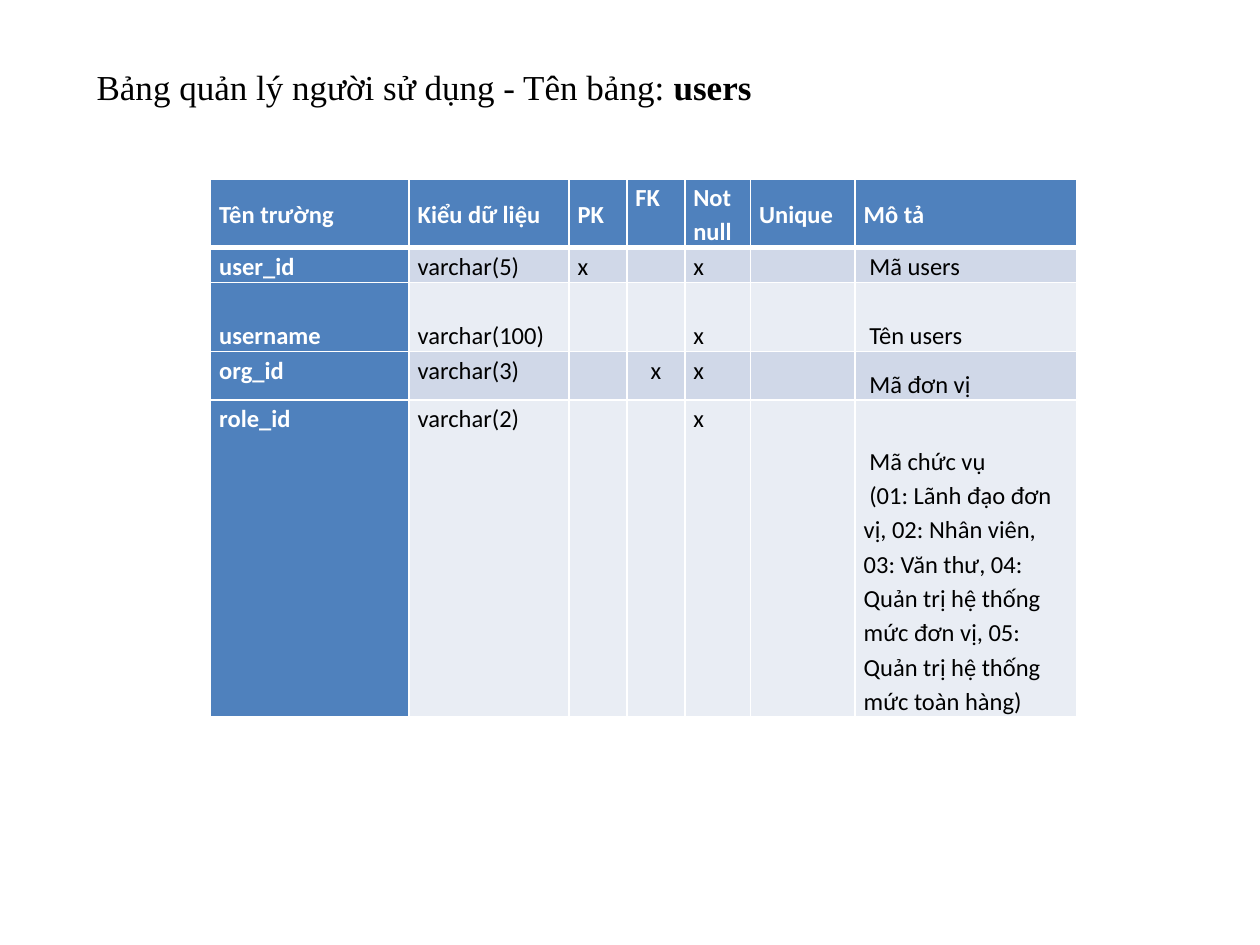
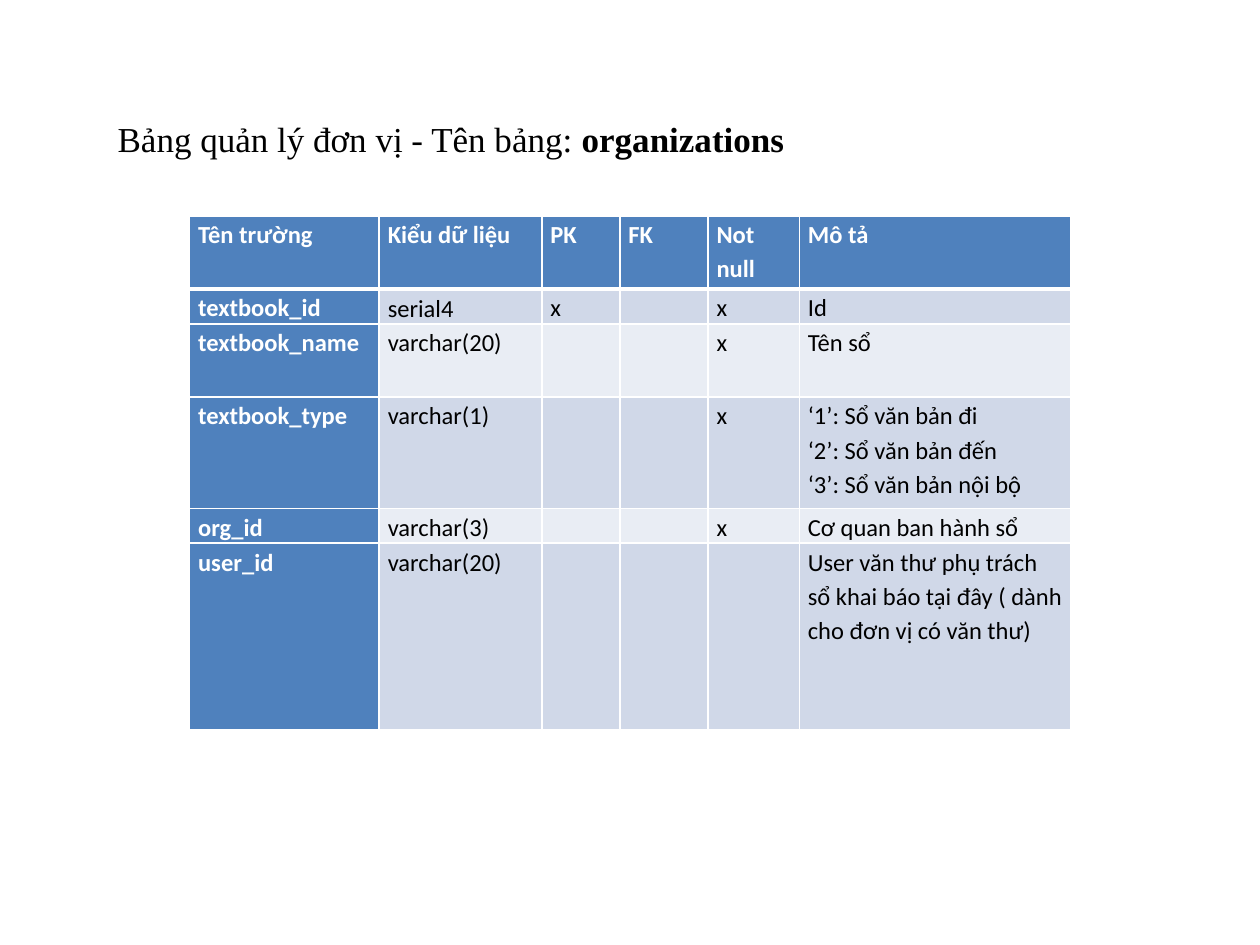
from dataclasses import dataclass

from lxml.etree import SubElement
from pptx import Presentation
from pptx.dml.color import RGBColor
from pptx.enum.text import MSO_ANCHOR as Anchor, MSO_AUTO_SIZE as AutoSize, PP_ALIGN as Align
from pptx.oxml.ns import qn
from pptx.util import Pt


@dataclass(frozen=True)
class Theme:
    accent: str = "4F81BD"
    bands: tuple = ("D0D8E8", "E9EDF4")
    light: str = "FFFFFF"
    dark: str = "000000"
    title_font: str = "Times New Roman"
    table_font: str = "Calibri"
    title_size: int = 20
    table_size: int = 14
    spacing: float = 1.15
    inset: float = 4.9
    rule: int = 1
    header_rule: int = 3


THEME = Theme()
ANCHORS = {"t": Anchor.TOP, "m": Anchor.MIDDLE, "b": Anchor.BOTTOM}

USERS = dict(
    title=("Bảng quản lý người sử dụng - Tên bảng: ", "users"),
    title_box=(48, 30, 451, 33),
    origin=(120.4, 102.2),
    widths=(113.4, 91.4, 33.1, 33.1, 37.6, 59.8, 126.6),
    rows=[
        (38.5, "mmmtmmm", ["Tên trường", "Kiểu dữ liệu", "PK", "FK", "Not null", "Unique", "Mô tả"]),
        (20, "tbttttt", ["user_id", "varchar(5)", "x", "", "x", "", " Mã users"]),
        (39.4, "bbttbtb", ["username", "varchar(100)", "", "", "x", "", " Tên users"]),
        (27.9, "ttttttb", ["org_id", "varchar(3)", "", "x", "x", "", " Mã đơn vị"]),
        (181, "ttttttb", ["role_id", "varchar(2)", "", "", "x", "",
                          " Mã chức vụ\n (01: Lãnh đạo đơn vị, 02: Nhân viên, 03: Văn thư, "
                          "04: Quản trị hệ thống mức đơn vị, 05: Quản trị hệ thống mức toàn hàng)"]),
    ],
    centred=(3, 3),
)

ORGANIZATIONS = dict(
    title=("Bảng quản lý đơn vị - Tên bảng: ", "organizations"),
    title_box=(60, 60, 420, 33),
    origin=(108.3, 123.3),
    widths=(108.4, 92.9, 44.6, 50.4, 52.2, 155.2),
    rows=[
        (41.8, "tttttt", ["Tên trường", "Kiểu dữ liệu", "PK", "FK", "Not null", "Mô tả"]),
        (20, "tbtttt", ["textbook_id", "serial4", "x", "", "x", "Id"]),
        (41.8, "tttttt", ["textbook_name", "varchar(20)", "", "", "x", "Tên sổ"]),
        (63.6, "tttttt", ["textbook_type", "varchar(1)", "", "", "x",
                          "‘1’: Sổ văn bản đi\n‘2’: Sổ văn bản đến\n‘3’: Sổ văn bản nội bộ"]),
        (20, "tttttt", ["org_id", "varchar(3)", "", "", "x", "Cơ quan ban hành sổ"]),
        (106.5, "tttttt", ["user_id", "varchar(20)", "", "", "",
                           "User văn thư phụ trách sổ khai báo tại đây ( dành cho đơn vị có văn thư)"]),
    ],
    centred=None,
)


def style_run(r, font, size, color, bold):
    r.font.name = font
    r.font.size = Pt(size)
    r.font.bold = bold
    r.font.color.rgb = RGBColor.from_string(color)


def add_title(s, box, parts):
    sp = s.shapes.title
    sp.left, sp.top, sp.width, sp.height = map(Pt, box)
    tf = sp.text_frame
    tf.word_wrap = True
    tf.auto_size = AutoSize.NONE
    tf.vertical_anchor = Anchor.TOP
    p = tf.paragraphs[0]
    p.alignment = Align.LEFT
    p.line_spacing = THEME.spacing
    for text, bold in zip(parts, (False, True)):
        r = p.add_run()
        r.text = text
        style_run(r, THEME.title_font, THEME.title_size, THEME.dark, bold)


def set_borders(cell, top, bottom):
    tcPr = cell._tc.get_or_add_tcPr()
    for side, width in (("L", THEME.rule), ("R", THEME.rule), ("T", top), ("B", bottom)):
        ln = SubElement(tcPr, qn(f"a:ln{side}"), w=str(Pt(width)))
        fill = SubElement(ln, qn("a:solidFill"))
        SubElement(fill, qn("a:srgbClr"), val=THEME.light)


def fill_cell(cell, text, anchor, row, col):
    heading = row == 0 or col == 0
    set_borders(cell, THEME.header_rule if row == 1 else THEME.rule,
                THEME.header_rule if row == 0 else THEME.rule)
    cell.fill.solid()
    band = THEME.accent if heading else THEME.bands[(row - 1) % 2]
    cell.fill.fore_color.rgb = RGBColor.from_string(band)
    cell.margin_left = cell.margin_right = Pt(THEME.inset)
    cell.margin_top = cell.margin_bottom = 0
    cell.vertical_anchor = ANCHORS[anchor]
    cell.text_frame.text = text
    for p in cell.text_frame.paragraphs:
        p.line_spacing = THEME.spacing
        for r in p.runs:
            style_run(r, THEME.table_font, THEME.table_size,
                      THEME.light if heading else THEME.dark, heading)
        if not p.runs:
            SubElement(p._p, qn("a:endParaRPr"), sz=str(THEME.table_size * 100))


def add_field_table(s, origin, widths, rows, centred):
    size = sum(widths), sum(height for height, _, _ in rows)
    table = s.shapes.add_table(len(rows), len(widths), *map(Pt, origin + size)).table
    for column, width in zip(table.columns, widths):
        column.width = Pt(width)
    for i, (height, anchors, texts) in enumerate(rows):
        table.rows[i].height = Pt(height)
        for j, (text, anchor) in enumerate(zip(texts, anchors)):
            fill_cell(table.cell(i, j), text, anchor, i, j)
    if centred:
        table.cell(*centred).text_frame.paragraphs[0].alignment = Align.CENTER


def add_schema_slide(prs, title, title_box, origin, widths, rows, centred):
    s = prs.slides.add_slide(prs.slide_layouts.get_by_name("Title Only"))
    add_field_table(s, origin, widths, rows, centred)
    add_title(s, title_box, title)


def main():
    prs = Presentation()
    prs.slide_width, prs.slide_height = Pt(720), Pt(540)
    for schema in (USERS, ORGANIZATIONS):
        add_schema_slide(prs, **schema)
    prs.save("out.pptx")


if __name__ == "__main__":
    main()
